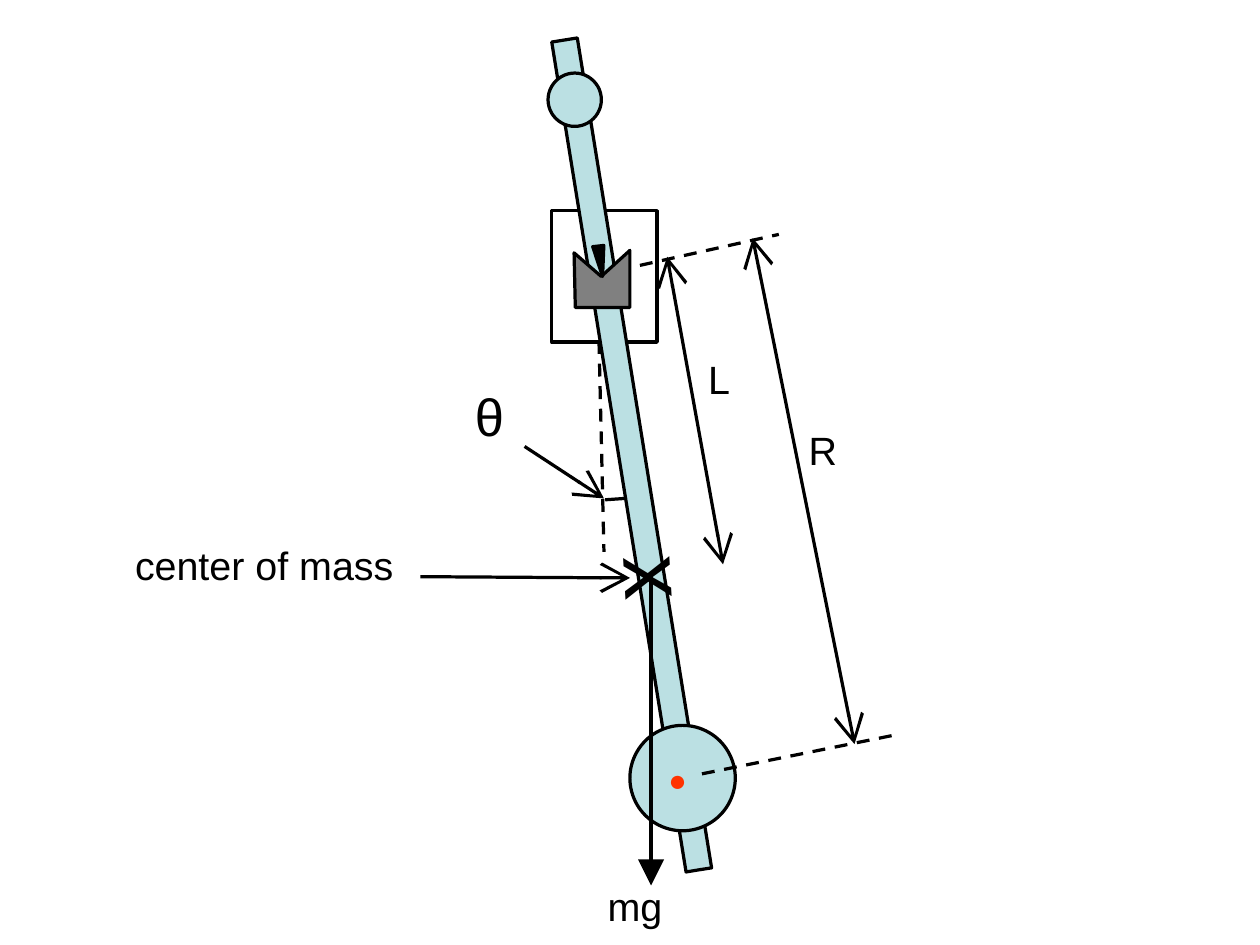
from dataclasses import dataclass

from lxml import etree
from pptx import Presentation
from pptx.dml.color import RGBColor
from pptx.enum.dml import MSO_LINE
from pptx.enum.shapes import MSO_CONNECTOR, MSO_SHAPE
from pptx.enum.text import MSO_AUTO_SIZE, PP_ALIGN
from pptx.oxml.ns import qn
from pptx.util import Cm, Pt

RECTANGLE, OVAL = MSO_SHAPE.RECTANGLE, MSO_SHAPE.OVAL
STRAIGHT = MSO_CONNECTOR.STRAIGHT
DASH = MSO_LINE.DASH
LEFT, RIGHT = PP_ALIGN.LEFT, PP_ALIGN.RIGHT
FIT_SHAPE = MSO_AUTO_SIZE.SHAPE_TO_FIT_TEXT
BLANK_LAYOUT = 6


@dataclass(frozen=True)
class Theme:
    font: str = "Arial"
    ink: str = "000000"
    body: str = "BBE0E3"
    bearing: str = "808080"
    accent: str = "FF3300"
    stroke: float = 0.75
    dot_size: int = 7
    label_size: int = 9
    angle_size: int = 12
    cross_size: int = 20


class PendulumSlide:
    """Draws the parts of a pendulum diagram on one slide, in centimetres."""

    def __init__(self, slide, theme):
        self.shapes = slide.shapes
        self.theme = theme

    def outline(self, line):
        line.color.rgb = RGBColor.from_string(self.theme.ink)
        line.width = Pt(self.theme.stroke)

    def finish(self, part, fill):
        part.shadow.inherit = False
        self.outline(part.line)
        if fill:
            part.fill.solid()
            part.fill.fore_color.rgb = RGBColor.from_string(fill)
        else:
            part.fill.background()

    def solid(self, preset, left, top, width, height, fill=None, rotation=0):
        part = self.shapes.add_shape(
            preset, Cm(left), Cm(top), Cm(width), Cm(height))
        part.rotation = rotation
        self.finish(part, fill)

    def polygon(self, corners, fill):
        points = [(Cm(x), Cm(y)) for x, y in corners]
        builder = self.shapes.build_freeform(*points[0])
        builder.add_line_segments(points[1:], close=True)
        self.finish(builder.convert_to_shape(), fill)

    def line(self, start, end, head=None, tail=None, dash=None):
        ends = [Cm(value) for value in (*start, *end)]
        link = self.shapes.add_connector(STRAIGHT, *ends)
        self.outline(link.line)
        if dash:
            link.line.dash_style = dash
        properties = link._element.spPr
        stroke = properties.find(qn("a:ln"))
        for tag, arrow in (("a:headEnd", head), ("a:tailEnd", tail)):
            if arrow:
                etree.SubElement(stroke, qn(tag), type=arrow)
        etree.SubElement(properties, qn("a:effectLst"))

    def label(self, text, left, top, width, height, size=None, color=None,
              rotation=0, align=LEFT):
        box = self.shapes.add_textbox(Cm(left), Cm(top), Cm(width), Cm(height))
        box.rotation = rotation
        frame = box.text_frame
        frame.text = text
        frame.word_wrap = False
        frame.auto_size = FIT_SHAPE
        paragraph = frame.paragraphs[0]
        paragraph.alignment = align
        font = paragraph.runs[0].font
        font.name = self.theme.font
        font.size = Pt(size or self.theme.label_size)
        font.color.rgb = RGBColor.from_string(color or self.theme.ink)


def main():
    theme = Theme()
    deck = Presentation()
    deck.slide_width, deck.slide_height = Cm(10.16), Cm(7.62)
    slide = deck.slides.add_slide(deck.slide_layouts[BLANK_LAYOUT])
    diagram = PendulumSlide(slide, theme)

    diagram.solid(RECTANGLE, 4.45, 1.7, 0.85, 1.06)
    diagram.solid(RECTANGLE, 4.99, 0.28, 0.21, 6.78, theme.body, 350.8)
    diagram.polygon([(4.85, 2.23), (4.63, 2.04), (4.64, 2.48), (5.08, 2.48),
                     (5.08, 2.02)], theme.bearing)
    diagram.polygon([(4.78, 1.99), (4.87, 1.98), (4.86, 2.23)], theme.ink)
    diagram.solid(OVAL, 4.42, 0.59, 0.43, 0.43, theme.body)
    diagram.solid(OVAL, 5.08, 5.85, 0.85, 0.85, theme.body)

    diagram.label("●", 5.14, 6.01, 0.74, 0.56, theme.dot_size, theme.accent)
    diagram.label("x", 4.87, 4.11, 0.88, 1.12, theme.cross_size, rotation=86.7)
    diagram.label("center of mass", 0.84, 4.24, 2.62, 0.64)
    diagram.line((5.25, 4.62), (5.25, 7.14), tail="triangle")
    diagram.label("mg", 4.65, 6.99, 1, 0.64)

    diagram.line((5.38, 2.07), (5.83, 4.55), head="arrow", tail="arrow")
    diagram.label("L", 5.46, 2.74, 0.7, 0.64)
    diagram.line((6.07, 1.92), (6.89, 6.0), head="arrow", tail="arrow")
    diagram.line((5.16, 2.14), (6.28, 1.89), dash=DASH)
    diagram.line((5.66, 6.24), (7.2, 5.93), dash=DASH)
    diagram.label("R", 6.25, 3.31, 0.75, 0.64, align=RIGHT)

    diagram.line((4.83, 2.75), (4.87, 4.45), dash=DASH)
    diagram.line((3.39, 4.65), (5.08, 4.66), tail="arrow")
    diagram.line((4.88, 4.03), (5.04, 4.02))
    diagram.label("θ", 3.58, 2.97, 0.76, 0.76, theme.angle_size)
    diagram.line((4.23, 3.6), (4.87, 4.02), tail="arrow")

    deck.save("out.pptx")


if __name__ == "__main__":
    main()
